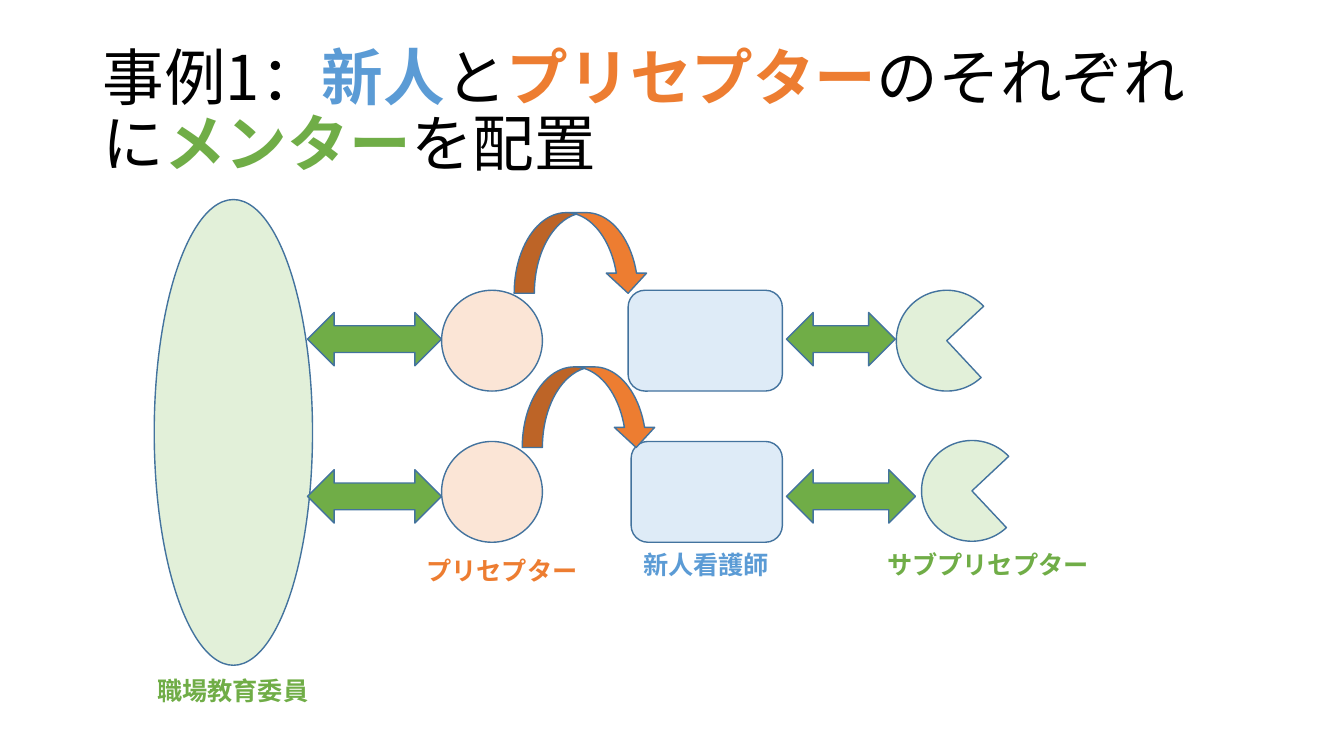
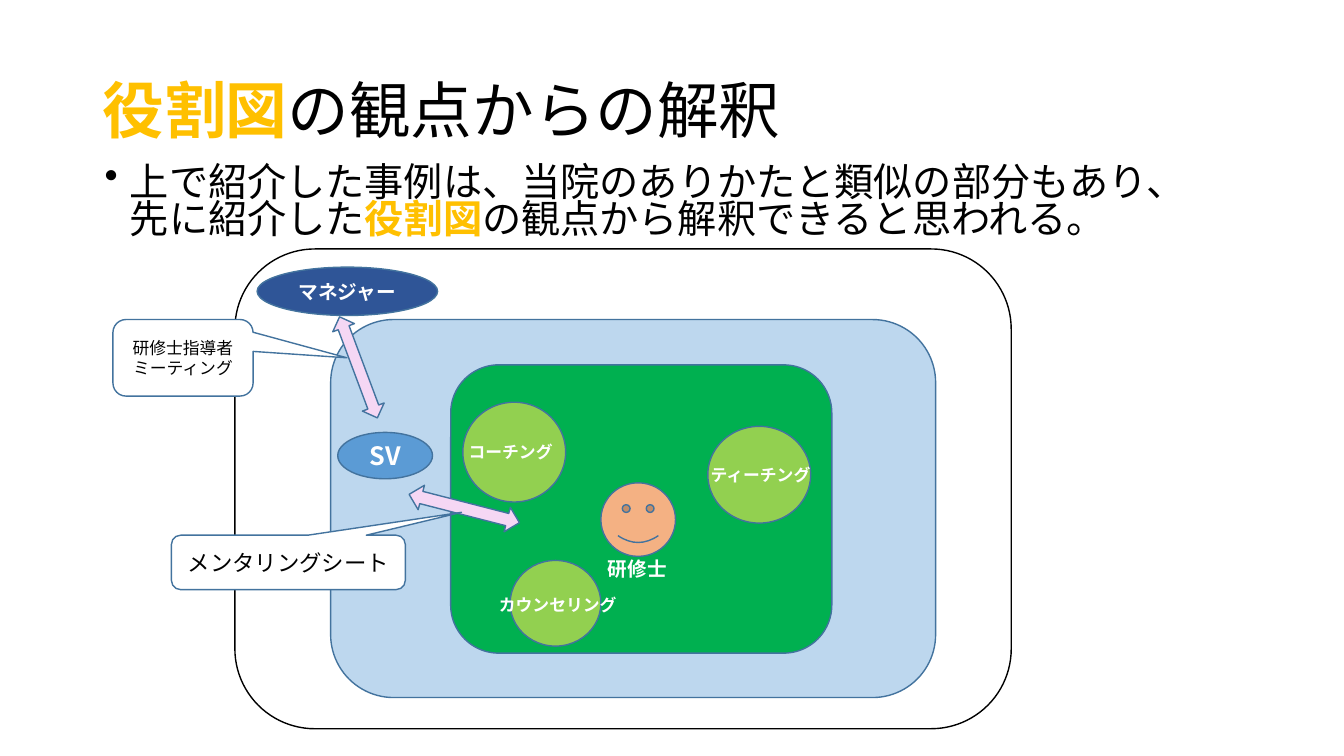
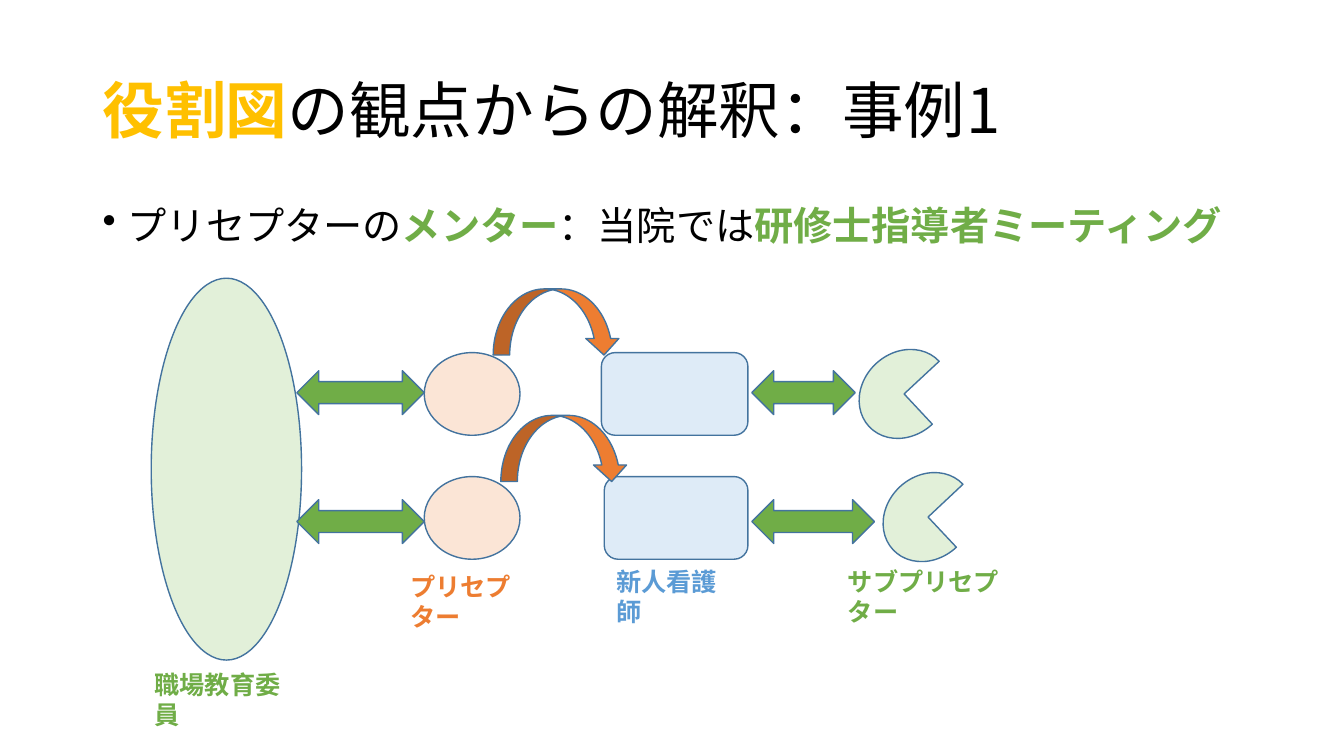
from lxml import etree
from pptx import Presentation
from pptx import util as u
from pptx.dml.color import RGBColor
from pptx.enum import shapes, text
from pptx.oxml import ns

FONT = "Noto Sans CJK JP"
COLOURS = {
    "black": "000000", "white": "FFFFFF", "outline": "43739E",
    "green": "70AD47", "pale_green": "E2F0D9",
    "orange": "ED7D31", "pale_orange": "FBE5D6",
    "blue": "5B9BD5", "pale_blue": "DEEBF7", "zone_blue": "BDD7EE", "navy": "2F5597",
    "gold": "FFC000", "zone_green": "00B050", "lime": "92D050",
    "skin": "F4B183", "pink": "F5D7F4",
}
GEOMETRY = shapes.MSO_SHAPE
TITLE_BOX = (0.92, 0.4, 11.5, 1.45)

deck = Presentation()
deck.slide_width, deck.slide_height = u.Inches(13.33), u.Inches(7.5)


def write(page, box, spans, size=18, shape=None, wrap=True, align="LEFT",
          anchor="TOP", spacing=None, bullet=False):
    """Write (text, colour) spans in a shape or a new text box; coloured spans are bold."""
    holder = shape or page.shapes.add_textbox(*map(u.Inches, box))
    frame = holder.text_frame
    frame.word_wrap = wrap
    frame.vertical_anchor = getattr(text.MSO_ANCHOR, anchor)
    para = frame.paragraphs[0]
    para.alignment = getattr(text.PP_ALIGN, align)
    if spacing:
        para.line_spacing = spacing
    if bullet:
        para.space_before = u.Pt(10)
        props = para._p.get_or_add_pPr()
        props.set("marL", str(u.Inches(0.25)))
        props.set("indent", str(u.Inches(-0.25)))
        etree.SubElement(props, ns.qn("a:buChar")).set("char", "•")
    for words, colour in spans:
        for number, line in enumerate(words.split("\n")):
            if number:
                para.add_line_break()
            span = para.add_run()
            span.text = line
            span.font.size = u.Pt(size)
            span.font.bold = colour != "black"
            span.font.color.rgb = RGBColor.from_string(COLOURS[colour])
            span.font.name = FONT
            etree.SubElement(span.font._element, ns.qn("a:ea")).set("typeface", FONT)


def draw(page, kind, box, fill=None, line="outline", turn=0, adjust=()):
    """Draw a flat preset shape with a thin outline and return it."""
    shape = page.shapes.add_shape(getattr(GEOMETRY, kind), *map(u.Inches, box))
    shape.shadow.inherit = False
    shape.rotation = turn
    if fill:
        shape.fill.solid()
        shape.fill.fore_color.rgb = RGBColor.from_string(COLOURS[fill])
    else:
        shape.fill.background()
    shape.line.color.rgb = RGBColor.from_string(COLOURS[line])
    shape.line.width = u.Pt(1)
    for index, value in enumerate(adjust):
        shape.adjustments[index] = value
    return shape


# Titles and body text
titles = [
    [("事例1：", "black"), ("新人", "blue"), ("と", "black"), ("プリセプター", "orange"),
     ("のそれぞれに", "black"), ("メンター", "green"), ("を配置", "black")],
    [("役割図", "gold"), ("の観点からの解釈", "black")],
    [("役割図", "gold"), ("の観点からの解釈：事例1", "black")],
]
pages = []
for title in titles:
    page = deck.slides.add_slide(deck.slide_layouts[6])
    write(page, TITLE_BOX, title, size=44, anchor="MIDDLE", spacing=0.9)
    pages.append(page)
case_page, roles_page, reading_page = pages

write(roles_page, (0.94, 1.6, 11.43, 0.87),
      [("上で紹介した事例は、当院のありかたと類似の部分もあり、\n先に紹介した", "black"),
       ("役割図", "gold"), ("の観点から解釈できると思われる。", "black")],
      size=28, spacing=0.8, bullet=True)
write(reading_page, (0.92, 2, 11.5, 4.76),
      [("プリセプターの", "black"), ("メンター", "green"), ("：当院では", "black"),
       ("研修士指導者ミーティング", "green")],
      size=28, spacing=0.9, bullet=True)

# Mentor diagram, drawn full size on the first slide and reduced on the third
mentor_parts = [
    ("OVAL", (1.53, 1.98, 1.57, 4.62), "pale_green", 0),
    ("LEFT_RIGHT_ARROW", (3.05, 4.66, 1.33, 0.53), "green", 0),
    ("LEFT_RIGHT_ARROW", (3.05, 3.1, 1.33, 0.53), "green", 0),
    ("OVAL", (4.38, 2.88, 1, 1), "pale_orange", 0),
    ("OVAL", (4.38, 4.38, 1, 1), "pale_orange", 0),
    ("ROUNDED_RECTANGLE", (6.23, 2.88, 1.53, 1), "pale_blue", 0),
    ("ROUNDED_RECTANGLE", (6.26, 4.38, 1.5, 1), "pale_blue", 0),
    ("PIE", (8.89, 2.88, 1, 1), "pale_green", 47),
    ("PIE", (9.14, 4.37, 1, 1), "pale_green", 46.8),
    ("CURVED_DOWN_ARROW", (5.1, 2.11, 1.33, 0.8), "orange", 0),
    ("CURVED_DOWN_ARROW", (5.18, 3.64, 1.33, 0.8), "orange", 0),
    ("LEFT_RIGHT_ARROW", (7.8, 3.1, 1.08, 0.53), "green", 0),
    ("LEFT_RIGHT_ARROW", (7.8, 4.66, 1.28, 0.53), "green", 0),
]
mentor_labels = [
    ("職場教育委員", (1.46, 6.65, 1.72, 0.4), "green"),
    ("プリセプター", (4.13, 5.46, 1.72, 0.4), "orange"),
    ("新人看護師", (6.28, 5.4, 1.46, 0.4), "blue"),
    ("サブプリセプター", (8.7, 5.4, 2.22, 0.4), "green"),
]
start_x, start_y = 1.53, 1.98
for page, left, top, scale_x, scale_y, wrap in [
    (case_page, start_x, start_y, 1, 1, False),
    (reading_page, 1.5, 2.76, 0.95, 0.82, True),
]:
    for kind, (x, y, width, height), fill, turn in mentor_parts:
        centre_x = left + (x + width / 2 - start_x) * scale_x
        centre_y = top + (y + height / 2 - start_y) * scale_y
        # A turned part takes the two scales the other way round
        part_x, part_y = (scale_y, scale_x) if turn else (scale_x, scale_y)
        width, height = width * part_x, height * part_y
        draw(page, kind, (centre_x - width / 2, centre_y - height / 2, width, height),
             fill, turn=turn)
    for label, (x, y, width, height), colour in mentor_labels:
        write(page, (left + (x - start_x) * scale_x, top + (y - start_y) * scale_y,
                     width * scale_x, height * scale_y), [(label, colour)], wrap=wrap)

# Role diagram: nested zones, people, support and tools
draw(roles_page, "ROUNDED_RECTANGLE", (2.33, 2.47, 7.7, 4.76), line="black")
draw(roles_page, "ROUNDED_RECTANGLE", (3.28, 3.17, 6, 3.75), "zone_blue")
for role, box, fill, size in [
    ("マネジャー", (2.55, 2.65, 1.79, 0.48), "navy", 14),
    ("SV", (3.35, 4.29, 0.94, 0.46), "blue", 18),
]:
    oval = draw(roles_page, "OVAL", box, fill)
    write(roles_page, box, [(role, "white")], size, oval, align="CENTER", anchor="MIDDLE")

draw(roles_page, "ROUNDED_RECTANGLE", (4.47, 3.62, 3.78, 2.86), "zone_green")
draw(roles_page, "SMILEY_FACE", (5.96, 4.79, 0.74, 0.73), "skin")
write(roles_page, (5.93, 5.48, 0.83, 0.34), [("研修士", "white")], size=14)

for support, circle, label_box in [
    ("コーチング", (4.59, 3.99, 1.02, 0.99), (4.55, 4.33, 1.26, 0.31)),
    ("ティーチング", (7.02, 4.23, 1.02, 0.96), (6.95, 4.56, 1.3, 0.31)),
    ("カウンセリング", (5.06, 5.56, 0.9, 0.85), (4.85, 5.85, 1.52, 0.3)),
]:
    draw(roles_page, "FLOWCHART_CONNECTOR", circle, "lime")
    write(roles_page, label_box, [(support, "white")], size=12)

for box, turn in [((3.02, 3.53, 1.07, 0.23), 69.5), ((4.04, 4.92, 1.13, 0.25), 14.4)]:
    draw(roles_page, "LEFT_RIGHT_ARROW", box, "pink", turn=turn)
for tool, box, size, pointer in [
    ("研修士指導者ミーティング", (1.12, 3.17, 1.39, 0.76), 12, (1.17, 0, 0.17)),
    ("メンタリングシート", (1.7, 5.31, 2.32, 0.54), 16, (0.74, -0.92, 0.17)),
]:
    callout = draw(roles_page, "ROUNDED_RECTANGULAR_CALLOUT", box, "white", adjust=pointer)
    write(roles_page, box, [(tool, "black")], size, callout, align="CENTER", anchor="MIDDLE")

deck.save("out.pptx")
